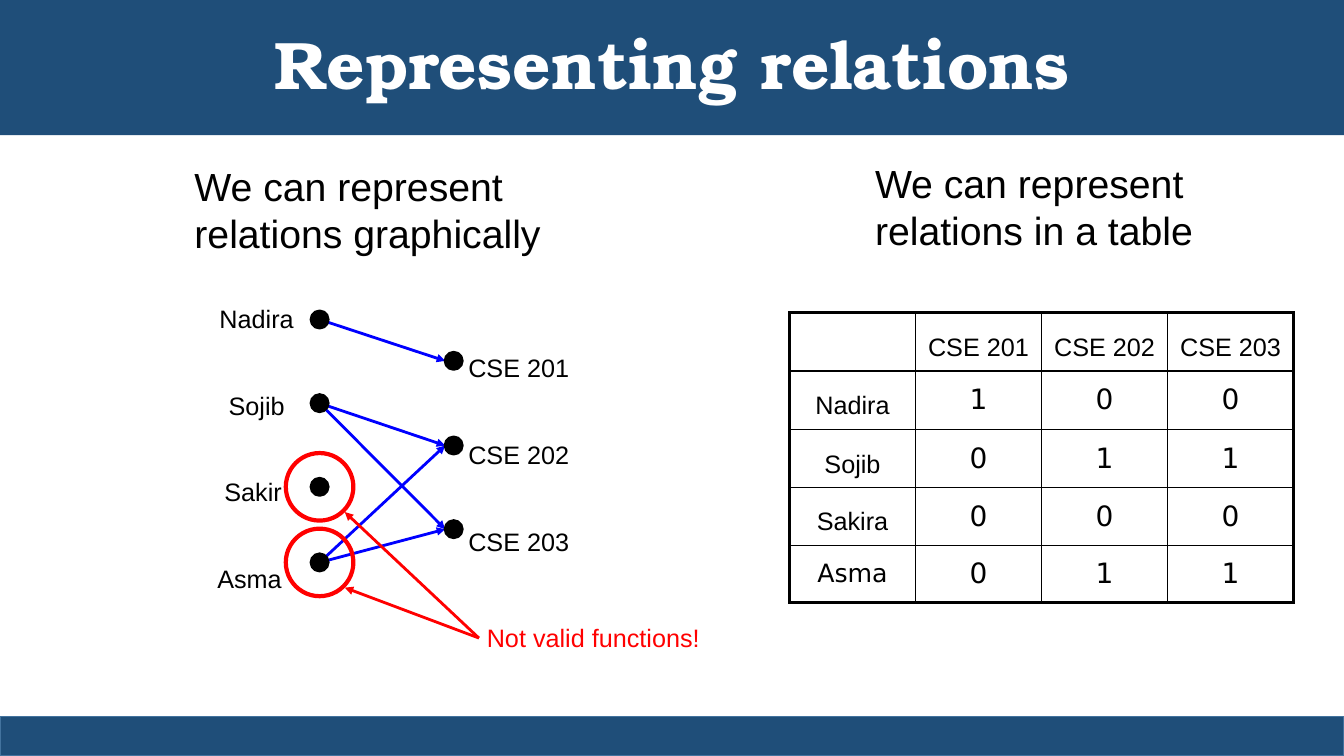
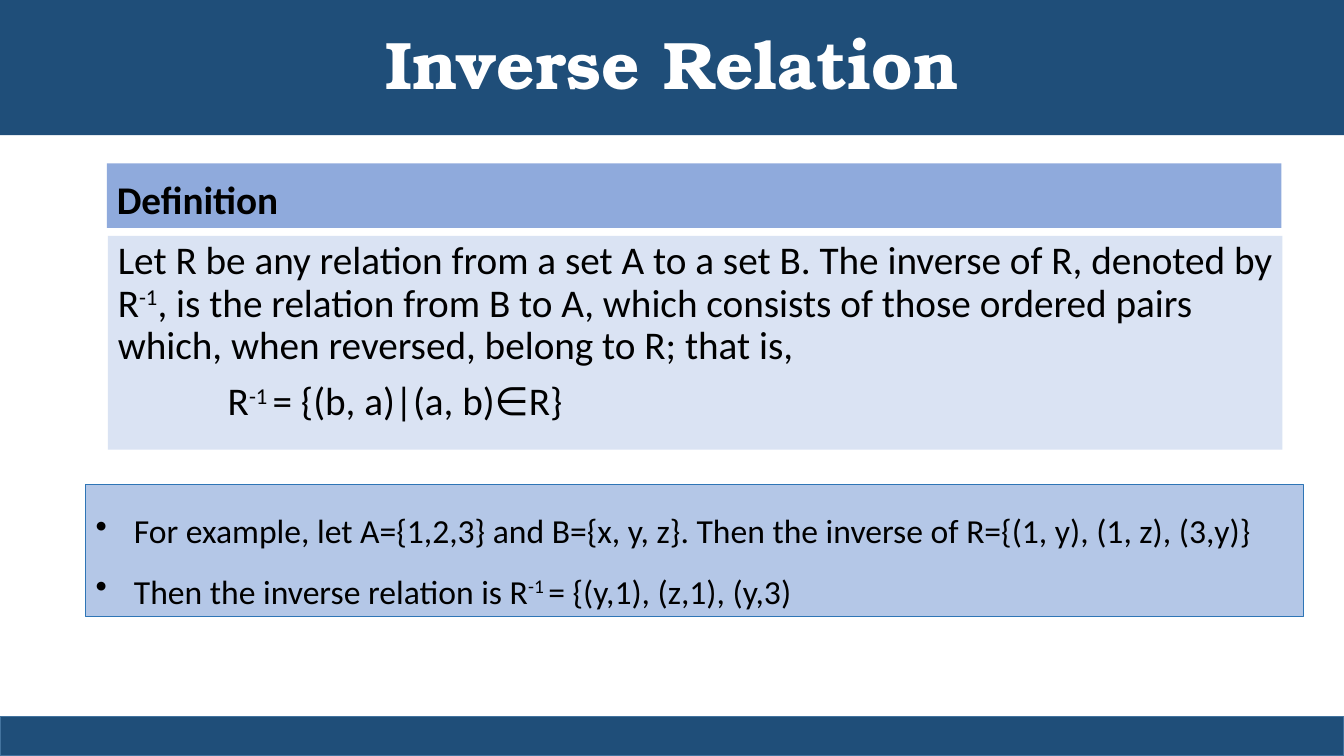
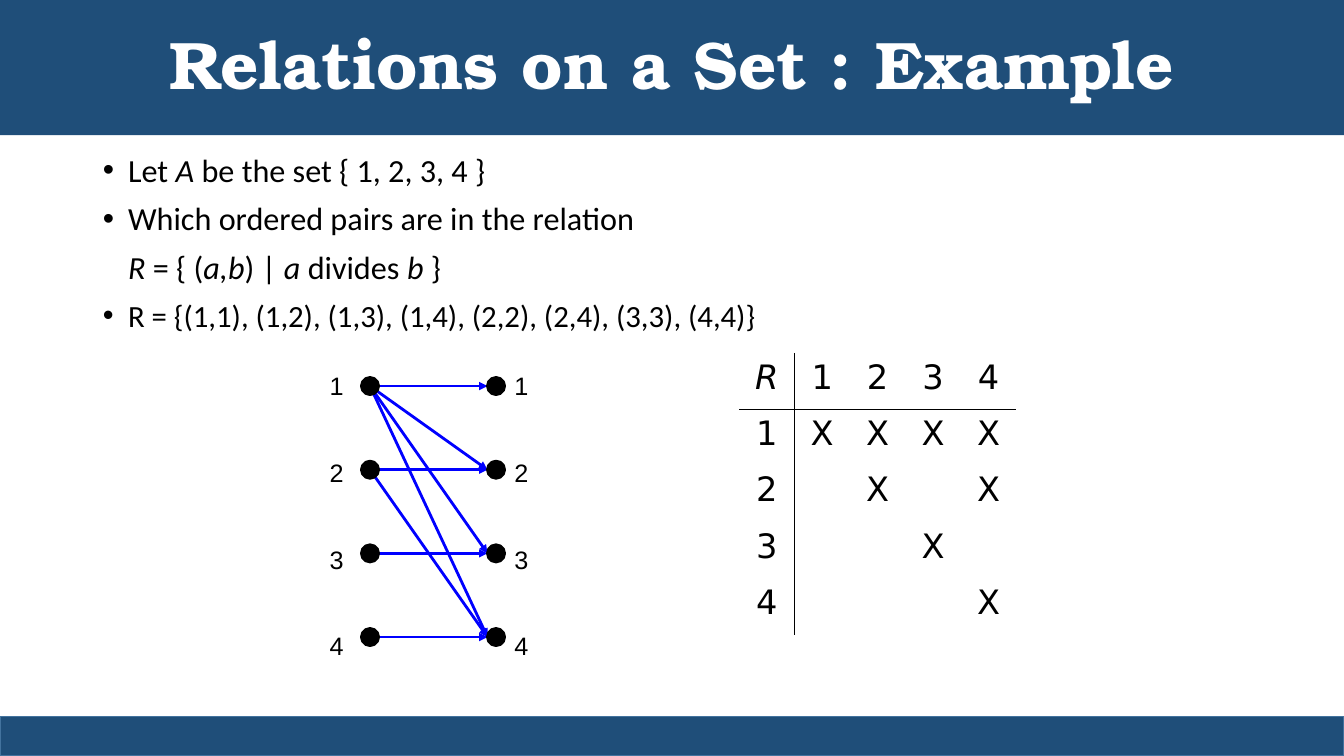
from dataclasses import dataclass, replace

from lxml.etree import SubElement
from pptx import Presentation
from pptx.dml.color import RGBColor
from pptx.enum.shapes import MSO_CONNECTOR as Connector, MSO_SHAPE as Preset
from pptx.enum.text import MSO_ANCHOR as Anchor, MSO_AUTO_SIZE as AutoSize, PP_ALIGN as Align
from pptx.oxml.ns import qn
from pptx.util import Inches, Pt


@dataclass(frozen=True)
class TextStyle:
    font: str
    size: float
    color: str = "000000"
    bold: bool = False
    align: Align = Align.LEFT
    spacing: float = 1.0
    before: float = 0


@dataclass(frozen=True)
class Paragraph:
    runs: tuple
    bullet: bool = False
    margin: float = 0
    hanging: float = 0
    right: float = 0
    size: float = 0


@dataclass(frozen=True)
class Theme:
    black: str = "000000"
    band: str = "1F4E79"
    band_line: str = "43739E"
    arrow: str = "0000FF"
    alert: str = "FF0000"
    definition_head: str = "8FAADC"
    definition_body: str = "DAE3F3"
    example: str = "B4C7E7"
    example_line: str = "2E75B6"
    title: TextStyle = TextStyle("TeX Gyre Bonum", 48, "FFFFFF", True, Align.CENTER, 0.9)
    lead: TextStyle = TextStyle("Arial", 28)
    note: TextStyle = TextStyle("Arial", 18, "FF0000")
    label: TextStyle = TextStyle("Arial", 18, align=Align.CENTER, spacing=1.4, before=31.7)
    number: TextStyle = TextStyle("DejaVu Sans", 20, align=Align.CENTER)
    heading: TextStyle = TextStyle("Calibri", 28, bold=True, spacing=1.14)
    statement: TextStyle = TextStyle("Calibri", 28, spacing=0.9, before=10)
    sample: TextStyle = TextStyle("Calibri", 24, spacing=1.5)
    body: TextStyle = TextStyle("Calibri", 23, spacing=0.9, before=10)


THEME = Theme()
TITLE_AND_CONTENT, TITLE_ONLY = 1, 5
WIDTH, HEIGHT = 13.33, 7.5
DOT = 0.17


class Deck:
    """Builds slides that share one theme."""

    def __init__(self):
        self.presentation = Presentation()
        self.presentation.slide_width = Inches(WIDTH)
        self.presentation.slide_height = Inches(HEIGHT)
        self.slide = None

    def new_slide(self, title, layout=TITLE_ONLY):
        self.slide = self.presentation.slides.add_slide(self.presentation.slide_layouts[layout])
        shape = self.slide.shapes.title
        self.place(shape, 0, 0, WIDTH, 1.34)
        self.paint(shape, THEME.band)
        self.fill_frame(shape.text_frame, [title], THEME.title, Anchor.MIDDLE)
        self.shape(0, 7.11, WIDTH, 0.39, THEME.band, THEME.band_line, 1)

    def place(self, shape, left, top, width, height):
        shape.left, shape.top = Inches(left), Inches(top)
        shape.width, shape.height = Inches(width), Inches(height)

    def paint(self, shape, fill=None, line=None, weight=0):
        if fill:
            shape.fill.solid()
            shape.fill.fore_color.rgb = RGBColor.from_string(fill)
        else:
            shape.fill.background()
        if line:
            shape.line.color.rgb = RGBColor.from_string(line)
            shape.line.width = Pt(weight)
        else:
            shape.line.fill.background()

    def fill_frame(self, frame, items, style, anchor=Anchor.TOP, wrap=True):
        frame.auto_size = AutoSize.NONE
        frame.word_wrap = wrap
        frame.vertical_anchor = anchor
        for index, item in enumerate(items):
            paragraph = frame.add_paragraph() if index else frame.paragraphs[0]
            self.fill_paragraph(paragraph, item, style, style.before if index else 0)

    def fill_paragraph(self, paragraph, item, style, before=0):
        if isinstance(item, str):
            item = Paragraph((item,))
        properties = paragraph._p.get_or_add_pPr()
        properties.set("marL", str(Inches(item.margin)))
        properties.set("indent", str(-Inches(item.hanging)))
        if item.right:
            properties.set("marR", str(Inches(item.right)))
        if item.bullet:
            SubElement(properties, qn("a:buChar")).set("char", "•")
        else:
            SubElement(properties, qn("a:buNone"))
        paragraph.alignment = style.align
        paragraph.line_spacing = style.spacing
        paragraph.space_before = Pt(before)
        for part in item.runs:
            text, mark = (part, "") if isinstance(part, str) else part
            run = paragraph.add_run()
            run.text = text
            run.font.name = style.font
            run.font.size = Pt(item.size or style.size)
            run.font.bold = style.bold
            run.font.italic = mark == "italic"
            run.font.color.rgb = RGBColor.from_string(style.color)
            if mark == "super":
                run._r.get_or_add_rPr().set("baseline", "30000")

    def shape(self, left, top, width, height, fill=None, line=None, weight=0, preset=Preset.RECTANGLE):
        shape = self.slide.shapes.add_shape(
            preset, Inches(left), Inches(top), Inches(width), Inches(height))
        shape.shadow.inherit = False
        self.paint(shape, fill, line, weight)
        return shape

    def panel(self, left, top, width, height, items, style, fill, line=None):
        shape = self.shape(left, top, width, height, fill, line, 0.75)
        self.fill_frame(shape.text_frame, items, style)

    def text(self, left, top, width, height, items, style, wrap=True, inset=0.1):
        box = self.slide.shapes.add_textbox(
            Inches(left), Inches(top), Inches(width), Inches(height))
        box.text_frame.margin_left = box.text_frame.margin_right = Inches(inset)
        self.fill_frame(box.text_frame, items, style, wrap=wrap)

    def labels(self, left, top, width, height, items):
        self.text(left, top, width, height, items, THEME.label, inset=0)

    def body(self, left, top, width, height, items):
        shape = self.slide.placeholders[1]
        self.place(shape, left, top, width, height)
        self.fill_frame(shape.text_frame, items, THEME.body)

    def circle(self, x, y, size, fill, line, weight):
        self.shape(x - size / 2, y - size / 2, size, size, fill, line, weight, Preset.OVAL)

    def arrow(self, start, end, color):
        connector = self.slide.shapes.add_connector(
            Connector.STRAIGHT, *(Inches(value) for value in (*start, *end)))
        connector.line.color.rgb = RGBColor.from_string(color)
        connector.line.width = Pt(2)
        SubElement(connector.line._get_or_add_ln(), qn("a:tailEnd")).set("type", "triangle")
        SubElement(connector._element.spPr, qn("a:effectLst"))

    def mapping(self, left_x, left_rows, right_x, right_rows, pairs):
        for source, target in pairs:
            self.arrow((left_x, left_rows[source]),
                       (right_x - DOT / 2, right_rows[target]), THEME.arrow)
        for x, rows in ((left_x, left_rows), (right_x, right_rows)):
            for y in rows:
                self.circle(x, y, DOT, THEME.black, THEME.black, 2)

    def table(self, left, top, column_width, heights, rows, cell_item, vertical, horizontal, anchor):
        columns = len(rows[0])
        table = self.slide.shapes.add_table(
            len(rows), columns, Inches(left), Inches(top),
            Inches(column_width * columns), Inches(sum(heights))).table
        table.first_row = table.horz_banding = False
        for column in table.columns:
            column.width = Inches(column_width)
        for row, height in enumerate(heights):
            table.rows[row].height = Inches(height)
            for column, value in enumerate(rows[row]):
                cell = table.cell(row, column)
                cell.fill.background()
                cell.vertical_anchor = anchor
                self.borders(cell, vertical[column], vertical[column + 1],
                             horizontal[row], horizontal[row + 1])
                if value:
                    item, style = cell_item(row, column, value)
                    self.fill_paragraph(cell.text_frame.paragraphs[0], item, style)

    def borders(self, cell, *weights):
        properties = cell._tc.get_or_add_tcPr()
        for index, (side, weight) in enumerate(zip("LRTB", weights)):
            line = SubElement(properties, qn(f"a:ln{side}"))
            properties.insert(index, line)
            if weight:
                line.set("w", str(Pt(weight)))
                fill = SubElement(line, qn("a:solidFill"))
                SubElement(fill, qn("a:srgbClr")).set("val", THEME.black)
            else:
                SubElement(line, qn("a:noFill"))


def representing_relations(deck):
    deck.new_slide("Representing relations")
    deck.text(1.83, 1.56, 3.92, 1.03, ["We can represent relations graphically"], THEME.lead)
    deck.text(8.58, 1.53, 3.92, 1.03, ["We can represent relations in a table"], THEME.lead)
    students = (3.17, 4, 4.83, 5.58)
    courses = (3.58, 4.42, 5.25)
    deck.mapping(3.17, students, 4.5, courses, [(0, 0), (1, 1), (1, 2), (3, 1), (3, 2)])
    deck.labels(2.05, 2.84, 0.99, 3.07, [
        "Nadira", "Sojib", Paragraph(("Sakir",), right=0.07), Paragraph(("Asma",), right=0.14)])
    deck.labels(4.54, 3.33, 1.21, 2.22, ["CSE 201", "CSE 202", "CSE 203"])
    for y, tip in zip(students[2:], (5.08, 5.83)):
        deck.circle(3.17, y, 0.67, None, THEME.alert, 3)
        deck.arrow((4.75, 6.33), (3.42, tip), THEME.alert)
    deck.text(4.73, 6.12, 2.31, 0.4, ["Not valid functions!"], THEME.note, wrap=False)

    def course_cell(row, column, value):
        if value == "Asma":
            return value, replace(THEME.number, size=18)
        return value, THEME.number if row and column else THEME.label

    rows = [("", "CSE 201", "CSE 202", "CSE 203"), ("Nadira", *"100"), ("Sojib", *"011"),
            ("Sakira", *"000"), ("Asma", *"011")]
    deck.table(7.83, 3.1, 1.25, [0.58] * 3 + [0.57] * 2, rows, course_cell,
               [2.25, 1, 1, 1, 2.25], [2.25, 1, 1, 1, 1, 2.25], Anchor.MIDDLE)


def inverse_relation(deck):
    deck.new_slide("Inverse Relation")
    deck.panel(1.06, 1.62, 11.65, 0.64, ["Definition"], THEME.heading, THEME.definition_head)
    deck.panel(1.07, 2.34, 11.65, 2.12, [
        Paragraph(("Let R be any relation from a set A to a set B. The inverse of R, denoted by R",
                   ("-1", "super"),
                   ", is the relation from B to A, which consists of those ordered pairs "
                   "which, when reversed, belong to R; that is,")),
        Paragraph(("R", ("-1 ", "super"), "= {(b, a)|(a, b)∈R}"), margin=1.09),
    ], THEME.statement, THEME.definition_body)
    examples = [
        ("For example, let A={1,2,3} and B={x, y, z}. "
         "Then the inverse of R={(1, y), (1, z), (3,y)}",),
        ("Then the inverse relation is R", ("-1 ", "super"), "= {(y,1), (z,1), (y,3)"),
    ]
    deck.panel(0.85, 4.81, 12.08, 1.31,
               [Paragraph(runs, True, 0.38, 0.38) for runs in examples],
               THEME.sample, THEME.example, THEME.example_line)


def relations_on_a_set(deck):
    deck.new_slide("Relations on a Set : Example", TITLE_AND_CONTENT)
    deck.body(0.92, 1.48, 11.5, 5.25, [
        Paragraph(("Let ", ("A", "italic"), " be the set { 1, 2, 3, 4 }"), True, 0.25, 0.25),
        Paragraph(("Which ordered pairs are in the relation",), True, 0.25, 0.25),
        Paragraph((("R", "italic"), " = { (", ("a,b", "italic"), ") | ", ("a", "italic"),
                   " divides ", ("b", "italic"), " }"), margin=0.25),
        Paragraph(("R = {(1,1), (1,2), (1,3), (1,4), (2,2), (2,4), (3,3), (4,4)}",),
                  True, 0.25, 0.25, size=22),
    ])
    numbers = range(1, 5)
    levels = [3.83 + 0.83 * index for index in range(4)]
    pairs = [(a, b) for a in numbers for b in numbers if b % a == 0]
    deck.mapping(3.67, levels, 4.92, levels, [(a - 1, b - 1) for a, b in pairs])
    for left in (3.17, 5):
        deck.labels(left, 3.51, 0.34, 3.04, [str(number) for number in numbers])

    def relation_cell(row, column, value):
        item = Paragraph(((value, "italic"),)) if value == "R" else value
        return item, replace(THEME.number, size=24)

    rows = [("R", *map(str, numbers))]
    rows += [(str(a), *("X" if (a, b) in pairs else "" for b in numbers)) for a in numbers]
    rules = [0, 1, 0, 0, 0, 0]
    deck.table(7.33, 3.5, 0.55, [0.56] * 5, rows, relation_cell, rules, rules, Anchor.TOP)


def main():
    deck = Deck()
    representing_relations(deck)
    inverse_relation(deck)
    relations_on_a_set(deck)
    deck.presentation.save("out.pptx")


if __name__ == "__main__":
    main()
